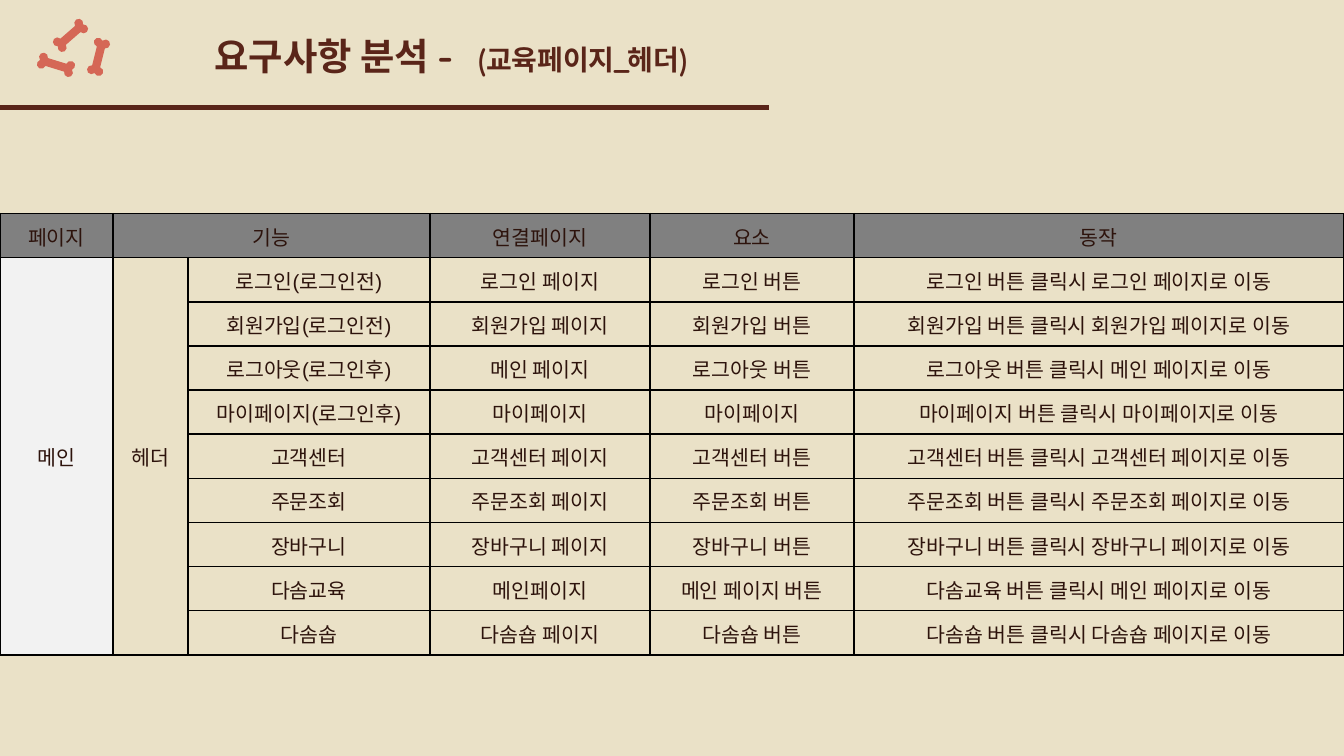
"""Builds the requirements analysis slide for the header of the education page."""
import math

from lxml import etree
from pptx import Presentation
from pptx.dml.color import RGBColor
from pptx.enum.shapes import MSO_CONNECTOR
from pptx.enum.text import MSO_ANCHOR, PP_ALIGN
from pptx.oxml.ns import qn
from pptx.util import Pt

CENTER = PP_ALIGN.CENTER
TOP, MIDDLE = MSO_ANCHOR.TOP, MSO_ANCHOR.MIDDLE
STRAIGHT = MSO_CONNECTOR.STRAIGHT
COLORS = {
    "background": "EAE1C7",
    "title": "5A2519",
    "bone": "D56756",
    "text": "2D130C",
    "header": "808080",
    "page": "F2F2F2",
    "border": "000000",
}


def add_text(p, text, *, size, font, color, bold=False, spacing=1.0, tracking=0):
    p.alignment = CENTER
    p.line_spacing = spacing
    r = p.add_run()
    r.text = text
    r.font.size = Pt(size)
    r.font.name = font
    r.font.bold = bold
    r.font.color.rgb = RGBColor.from_string(COLORS[color])
    if tracking:
        r._r.get_or_add_rPr().set("spc", str(tracking * 100))


def add_borders(cell, color, width):
    tcPr = cell._tc.get_or_add_tcPr()
    for side in ("lnL", "lnR", "lnT", "lnB"):
        ln = etree.SubElement(tcPr, qn("a:" + side), w=str(Pt(width)))
        fill = etree.SubElement(ln, qn("a:solidFill"))
        etree.SubElement(fill, qn("a:srgbClr"), val=COLORS[color])


prs = Presentation()
prs.slide_width, prs.slide_height = Pt(720), Pt(405)
s = prs.slides.add_slide(prs.slide_layouts[5])
s.background.fill.solid()
s.background.fill.fore_color.rgb = RGBColor.from_string(COLORS["background"])

title = s.shapes.title
title.left, title.top, title.width, title.height = Pt(0), Pt(12.2), Pt(483), Pt(45.3)
tf = title.text_frame
tf.word_wrap = True
tf.vertical_anchor = TOP
tf.margin_left = tf.margin_right = tf.margin_top = tf.margin_bottom = Pt(7.2)
for text, size, tracking in (("요구사항 분석 -", 20, 0), (" ", 20, 8), ("(교육페이지_헤더)", 15, 0)):
    add_text(tf.paragraphs[0], text, size=size, font="Comfortaa", color="title",
             bold=True, spacing=0.95, tracking=tracking)

RADIUS, LOBE_X, LOBE_Y = 2.4, 7.6, 2
lobe = [(LOBE_X + RADIUS * math.cos(math.radians(a)),
         LOBE_Y + RADIUS * math.sin(math.radians(a))) for a in range(175, -56, -46)]
end = lobe + [(x, -y) for x, y in reversed(lobe)]
outline = end + [(-x, -y) for x, y in end]

bones = s.shapes.add_group_shape()
for cx, cy, angle in ((52.8, 30.5, -76), (30, 34.8, 17), (37.8, 19, -41)):
    cos, sin = math.cos(math.radians(angle)), math.sin(math.radians(angle))
    points = [(Pt(cx + x * cos - y * sin), Pt(cy + x * sin + y * cos)) for x, y in outline]
    builder = bones.shapes.build_freeform(*points[0])
    builder.add_line_segments(points[1:])
    bone = builder.convert_to_shape()
    bone.shadow.inherit = False
    bone.fill.solid()
    bone.fill.fore_color.rgb = RGBColor.from_string(COLORS["bone"])
    bone.line.fill.background()

rule = s.shapes.add_connector(STRAIGHT, Pt(0), Pt(57.5), Pt(412), Pt(57.5))
rule.line.color.rgb = RGBColor.from_string(COLORS["title"])
rule.line.width = Pt(3)
etree.SubElement(rule._element.spPr, qn("a:effectLst"))

ROWS = [
    ("페이지", "기능", "", "연결페이지", "요소", "동작"),
    ("메인", "헤더", "로그인(로그인전)", "로그인 페이지", "로그인 버튼",
     "로그인 버튼 클릭시 로그인 페이지로 이동"),
    ("", "", "회원가입(로그인전)", "회원가입 페이지", "회원가입 버튼",
     "회원가입 버튼 클릭시 회원가입 페이지로 이동"),
    ("", "", "로그아웃(로그인후)", "메인 페이지", "로그아웃 버튼",
     "로그아웃 버튼 클릭시 메인 페이지로 이동"),
    ("", "", "마이페이지(로그인후)", "마이페이지", "마이페이지",
     "마이페이지 버튼 클릭시 마이페이지로 이동"),
    ("", "", "고객센터", "고객센터 페이지", "고객센터 버튼",
     "고객센터 버튼 클릭시 고객센터 페이지로 이동"),
    ("", "", "주문조회", "주문조회 페이지", "주문조회 버튼",
     "주문조회 버튼 클릭시 주문조회 페이지로 이동"),
    ("", "", "장바구니", "장바구니 페이지", "장바구니 버튼",
     "장바구니 버튼 클릭시 장바구니 페이지로 이동"),
    ("", "", "다솜교육", "메인페이지", "메인 페이지 버튼",
     "다솜교육 버튼 클릭시 메인 페이지로 이동"),
    ("", "", "다솜솝", "다솜숍 페이지", "다솜숍 버튼",
     "다솜숍 버튼 클릭시 다솜숍 페이지로 이동"),
]
WIDTHS = (60.5, 40.2, 129.6, 118, 109.2, 262.5)
ROW_HEIGHT = 23.65

table = s.shapes.add_table(len(ROWS), len(WIDTHS), Pt(0), Pt(114.4),
                           Pt(sum(WIDTHS)), Pt(ROW_HEIGHT * len(ROWS))).table
table.first_row = table.horz_banding = False
for column, width in zip(table.columns, WIDTHS):
    column.width = Pt(width)
for i, row in enumerate(ROWS):
    table.rows[i].height = Pt(ROW_HEIGHT)
    for j, text in enumerate(row):
        cell = table.cell(i, j)
        cell.vertical_anchor = MIDDLE
        add_borders(cell, "border", 1)
        if i == 0 or j == 0:
            cell.fill.solid()
            color = COLORS["header" if i == 0 else "page"]
            cell.fill.fore_color.rgb = RGBColor.from_string(color)
        else:
            cell.fill.background()
        if text:
            add_text(cell.text_frame.paragraphs[0], text, size=11, font="Arial",
                     color="text", spacing=1.03)
table.cell(0, 1).merge(table.cell(0, 2))
for j in (0, 1):
    table.cell(1, j).merge(table.cell(len(ROWS) - 1, j))

prs.save("out.pptx")
